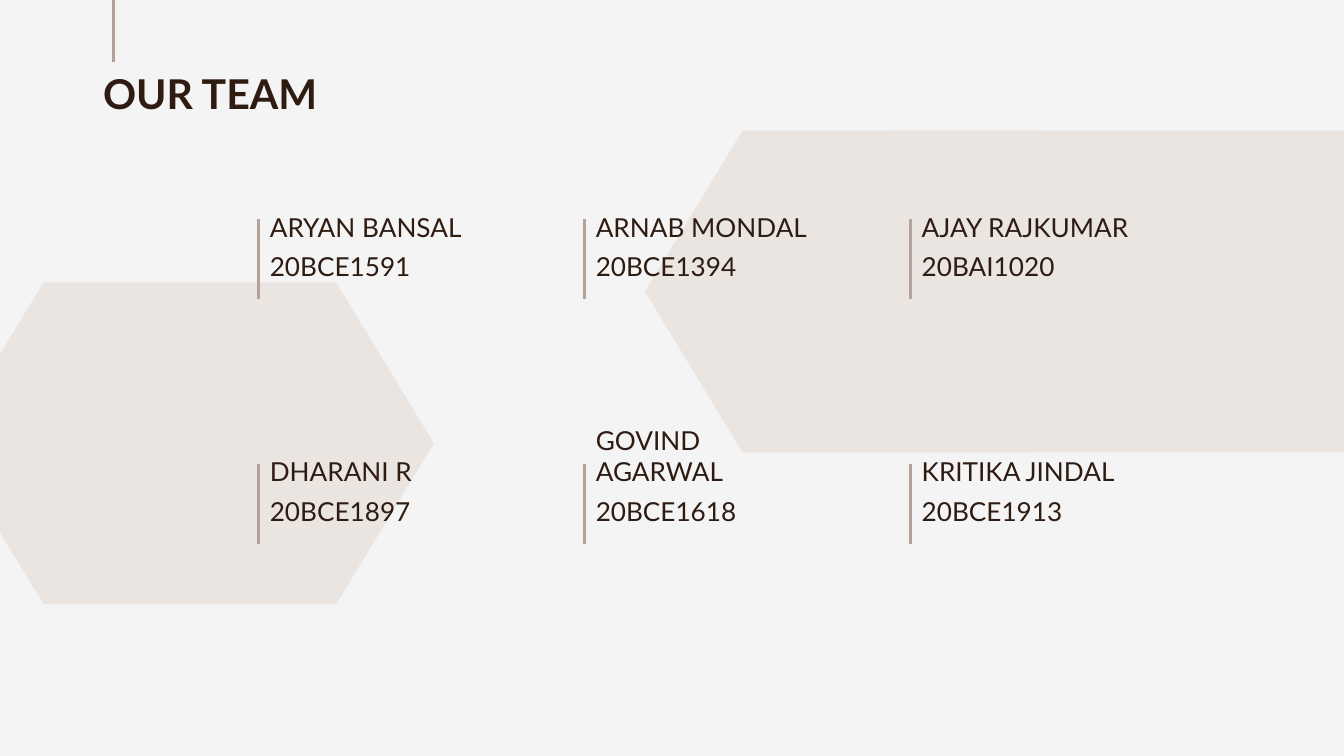
"""Build the team slide with python-pptx."""
from lxml.etree import SubElement
from pptx import Presentation
from pptx.dml.color import RGBColor
from pptx.enum.shapes import MSO_CONNECTOR, MSO_SHAPE
from pptx.enum.text import MSO_ANCHOR, MSO_AUTO_SIZE, PP_ALIGN
from pptx.oxml.ns import qn
from pptx.util import Cm, Pt

TEAM = [
    [("ARYAN BANSAL", "20BCE1591"), ("ARNAB MONDAL", "20BCE1394"), ("AJAY RAJKUMAR", "20BAI1020")],
    [("DHARANI R", "20BCE1897"), ("GOVIND AGARWAL", "20BCE1618"), ("KRITIKA JINDAL", "20BCE1913")],
]


def color(value):
    return RGBColor.from_string(value)


class TeamSlide:
    FONT = "Lato"
    BACKGROUND, PANEL, TEXT, ACCENT = "F4F4F4", "EAE5E1", "2E1B11", "B3A29A"

    def __init__(self, presentation):
        self.slide = presentation.slides.add_slide(presentation.slide_layouts[5])
        fill = self.slide.background.fill
        fill.solid()
        fill.fore_color.rgb = color(self.BACKGROUND)

    def panel(self, preset, left, top, width, height):
        shape = self.slide.shapes.add_shape(preset, Cm(left), Cm(top), Cm(width), Cm(height))
        shape.shadow.inherit = False
        shape.fill.solid()
        shape.fill.fore_color.rgb = color(self.PANEL)
        shape.line.fill.background()

    def set_text(self, shape, text, size, anchor, bold=False):
        frame = shape.text_frame
        frame.word_wrap = True
        frame.auto_size = MSO_AUTO_SIZE.NONE
        frame.vertical_anchor = anchor
        frame.margin_left = frame.margin_right = Cm(0.25)
        frame.margin_top = frame.margin_bottom = Cm(0.25)
        paragraph = frame.paragraphs[0]
        paragraph.alignment = PP_ALIGN.LEFT
        run = paragraph.add_run()
        run.text = text
        run.font.name = self.FONT
        run.font.size = Pt(size)
        run.font.bold = bold
        run.font.color.rgb = color(self.TEXT)

    def title(self, text, left, top, width, height):
        shape = self.slide.shapes.title
        shape.left, shape.top, shape.width, shape.height = Cm(left), Cm(top), Cm(width), Cm(height)
        self.set_text(shape, text, 22, MSO_ANCHOR.TOP, bold=True)

    def label(self, text, left, top):
        shape = self.slide.shapes.add_textbox(Cm(left), Cm(top), Cm(4.85), Cm(1.35))
        self.set_text(shape, text, 14, MSO_ANCHOR.BOTTOM)

    def bar(self, left, top, length):
        connector = self.slide.shapes.add_connector(
            MSO_CONNECTOR.STRAIGHT, Cm(left), Cm(top), Cm(left), Cm(top + length))
        connector.line.color.rgb = color(self.ACCENT)
        connector.line.width = Pt(1.5)
        SubElement(connector._element.spPr, qn("a:effectLst"))

    def member(self, name, number, left, top):
        self.bar(left + 0.03, top + 0.66, 1.51)
        self.label(name, left, top)
        self.label(number, left, top + 0.74)


def main():
    presentation = Presentation()
    presentation.slide_width, presentation.slide_height = Cm(25.4), Cm(14.29)
    team_slide = TeamSlide(presentation)
    team_slide.panel(MSO_SHAPE.FLOWCHART_PREPARATION, 12.19, 2.47, 9.22, 6.08)
    team_slide.panel(MSO_SHAPE.RECTANGLE, 16.81, 2.47, 10.19, 6.08)
    team_slide.panel(MSO_SHAPE.FLOWCHART_PREPARATION, -1.02, 5.34, 9.22, 6.08)
    team_slide.title("OUR TEAM", 1.7, 1.04, 7.11, 2.62)
    team_slide.bar(2.14, -0.08, 1.25)
    for row, members in enumerate(TEAM):
        for column, (name, number) in enumerate(members):
            team_slide.member(name, number, 4.85 + 6.16 * column, 3.48 + 4.63 * row)
    presentation.save("out.pptx")


if __name__ == "__main__":
    main()
